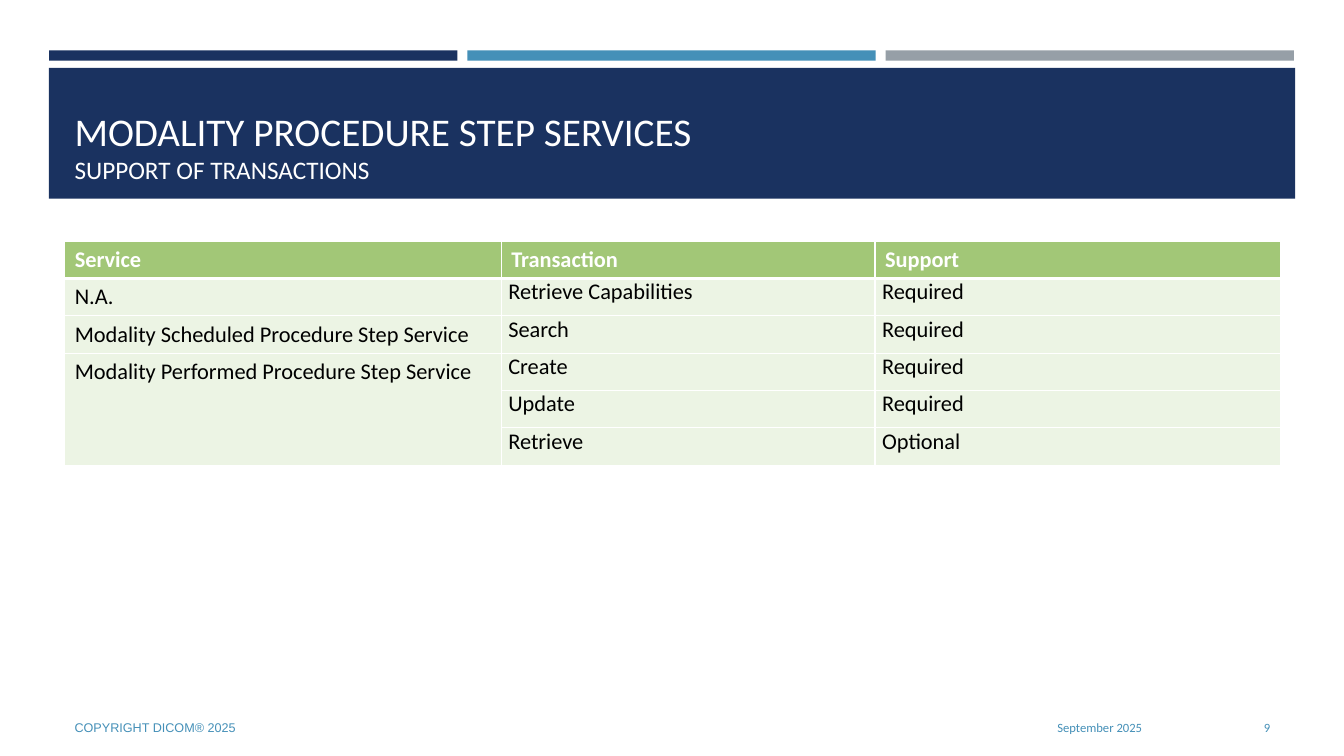
from dataclasses import dataclass

from lxml.etree import SubElement
from pptx import Presentation
from pptx.dml.color import RGBColor as RGB
from pptx.enum.shapes import MSO_SHAPE as Shape
from pptx.enum.text import MSO_ANCHOR as Anchor, PP_ALIGN as Align
from pptx.oxml.ns import qn
from pptx.util import Cm, Pt


@dataclass(frozen=True)
class Theme:
    navy: str = "1A3260"
    blue: str = "4590B8"
    gray: str = "969FA7"
    green: str = "A2C777"
    pale: str = "ECF4E4"
    white: str = "FFFFFF"
    black: str = "000000"
    font: str = "Calibri"
    copyright_font: str = "Arial"
    title_size: int = 28
    subtitle_size: int = 18
    table_size: int = 16
    footer_size: int = 9
    grid_line: int = 1
    header_line: int = 3


THEME = Theme()

TITLE = "MODALITY PROCEDURE STEP SERVICES"
SUBTITLE = "SUPPORT OF TRANSACTIONS"
HEADERS = ("Service", "Transaction", "Support")
SERVICES = [
    ("N.A.", [("Retrieve Capabilities", "Required")]),
    ("Modality Scheduled Procedure Step Service", [("Search", "Required")]),
    ("Modality Performed Procedure Step Service", [
        ("Create", "Required"),
        ("Update", "Required"),
        ("Retrieve", "Optional"),
    ]),
]
FOOTERS = [
    ("COPYRIGHT DICOM® 2025", 1.63, 19.2, Align.LEFT, THEME.copyright_font),
    ("September 2025", 21.13, 7.9, Align.RIGHT, THEME.font),
    ("9", 29.34, 2.92, Align.RIGHT, THEME.font),
]

MARGIN, CONTENT_WIDTH = 1.63, 30.63
BAR_LEFT, BAR_TOP, BAR_WIDTH, BAR_HEIGHT, BAR_PITCH = 1.24, 1.27, 10.29, 0.26, 10.54
COLUMN_WIDTHS = (11, 9.42, 10.21)
TABLE_TOP, ROW_HEIGHT = 6.08, 0.94


def box(left, top, width, height):
    return Cm(left), Cm(top), Cm(width), Cm(height)


def add_band(slide, place, color):
    band = slide.shapes.add_shape(Shape.RECTANGLE, *place)
    band.shadow.inherit = False
    band.fill.solid()
    band.fill.fore_color.rgb = RGB.from_string(color)
    band.line.fill.background()


def style_run(run, size, color, font=THEME.font, bold=False):
    run.font.name = font
    run.font.size = Pt(size)
    run.font.bold = bold
    run.font.color.rgb = RGB.from_string(color)


def add_label(slide, place, text, anchor, align=Align.LEFT):
    frame = slide.shapes.add_textbox(*place).text_frame
    frame.word_wrap = True
    frame.vertical_anchor = anchor
    label = frame.paragraphs[0]
    label.text = text
    label.alignment = align
    return label.runs


def set_borders(cell, top, bottom):
    properties = cell._tc.get_or_add_tcPr()
    widths = {"L": THEME.grid_line, "R": THEME.grid_line, "T": top, "B": bottom}
    for position, (side, width) in enumerate(widths.items()):
        line = SubElement(properties, qn(f"a:ln{side}"), w=str(Pt(width)))
        fill = SubElement(line, qn("a:solidFill"))
        SubElement(fill, qn("a:srgbClr"), val=THEME.white)
        properties.insert(position, line)


def fill_cell(cell, text, row, column):
    header = row == 0
    cell.fill.solid()
    cell.fill.fore_color.rgb = RGB.from_string(THEME.green if header else THEME.pale)
    set_borders(cell,
                THEME.header_line if row == 1 else THEME.grid_line,
                THEME.header_line if header else THEME.grid_line)
    entry = cell.text_frame.paragraphs[0]
    entry.text = text
    if not header and column > 0:
        cell.margin_left = cell.margin_right = Cm(0.18)
        cell.margin_top = cell.margin_bottom = 0
        entry.space_before = entry.space_after = Pt(2)
    for run in entry.runs:
        style_run(run, THEME.table_size, THEME.white if header else THEME.black, bold=header)


def add_services_table(slide):
    rows = [HEADERS]
    spans = []
    for service, transactions in SERVICES:
        spans.append((len(rows), len(rows) + len(transactions) - 1))
        for index, (transaction, support) in enumerate(transactions):
            rows.append(("" if index else service, transaction, support))

    place = box(MARGIN, TABLE_TOP, CONTENT_WIDTH, ROW_HEIGHT * len(rows))
    table = slide.shapes.add_table(len(rows), len(HEADERS), *place).table
    for column, width in zip(table.columns, COLUMN_WIDTHS):
        column.width = Cm(width)
    for row, texts in enumerate(rows):
        table.rows[row].height = Cm(ROW_HEIGHT)
        for column, text in enumerate(texts):
            fill_cell(table.cell(row, column), text, row, column)
    for first, last in spans:
        if last > first:
            table.cell(first, 0).merge(table.cell(last, 0))


def main():
    deck = Presentation()
    deck.slide_width, deck.slide_height = Cm(33.87), Cm(19.05)
    slide = deck.slides.add_slide(deck.slide_layouts[6])

    for index, color in enumerate((THEME.navy, THEME.blue, THEME.gray)):
        left = BAR_LEFT + index * BAR_PITCH
        add_band(slide, box(left, BAR_TOP, BAR_WIDTH, BAR_HEIGHT), color)
    add_band(slide, box(1.23, 1.71, 31.41, 3.3), THEME.navy)

    heading = add_label(slide, box(MARGIN, 1.96, CONTENT_WIDTH, 2.82),
                        f"{TITLE}\v{SUBTITLE}", Anchor.BOTTOM)
    for run, size in zip(heading, (THEME.title_size, THEME.subtitle_size)):
        style_run(run, size, THEME.white)

    add_services_table(slide)

    for text, left, width, align, font in FOOTERS:
        for run in add_label(slide, box(left, 17.83, width, 1.02), text, Anchor.MIDDLE, align):
            style_run(run, THEME.footer_size, THEME.blue, font)

    deck.save("out.pptx")


if __name__ == "__main__":
    main()
